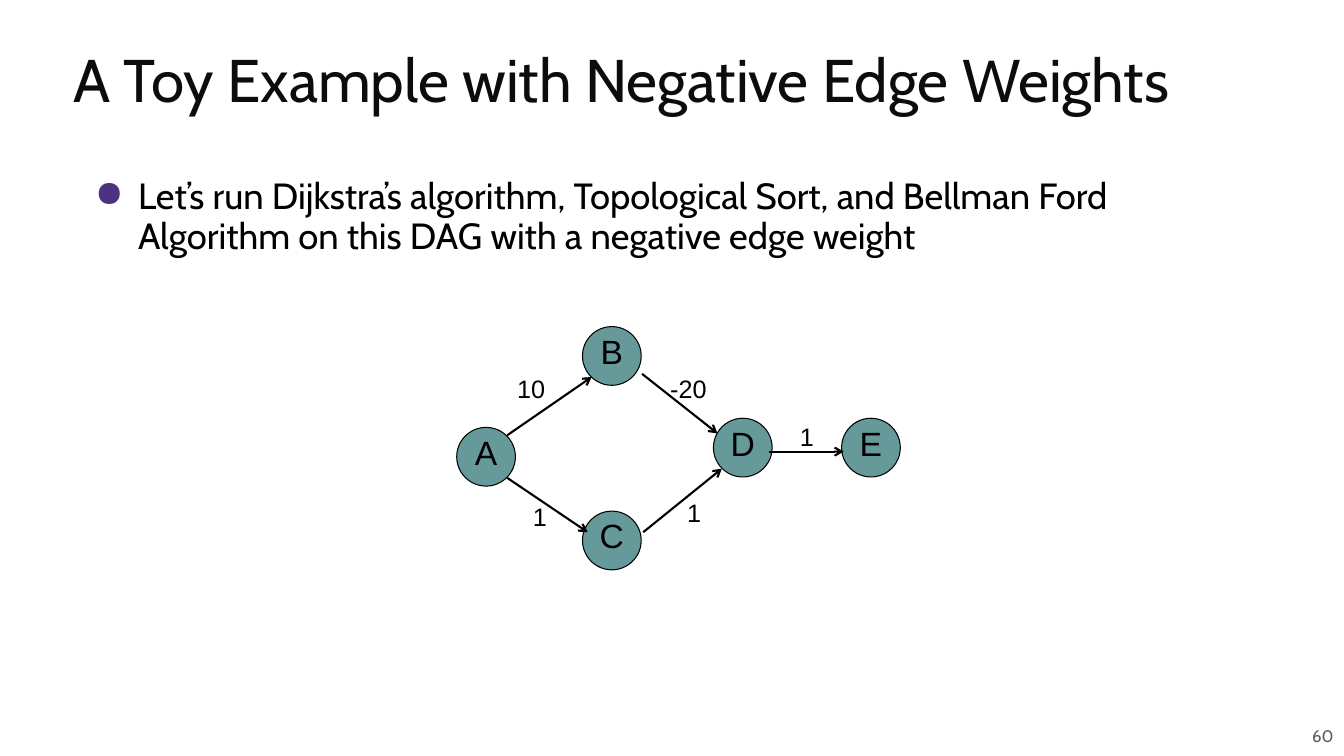
from lxml import etree
from pptx import Presentation
from pptx import util as u
from pptx.dml.color import RGBColor
from pptx.enum import shapes, text
from pptx.oxml.ns import qn

COLORS = {"title": "0C0C0C", "ink": "000000", "bullet": "4C3282",
          "node": "669999", "number": "595959"}
TITLE = "A Toy Example with Negative Edge Weights"
BODY = ("Let’s run Dijkstra’s algorithm, Topological Sort, and Bellman Ford "
        "Algorithm on this DAG with a negative edge weight")
PAGE_NUMBER = "60"
NODE_SIZE = 1.48
NODES = {"A": (11.51, 10.77), "B": (14.68, 8.23), "C": (14.68, 12.88),
         "D": (17.98, 10.54), "E": (21.21, 10.54)}
EDGES = [
    ("10", (12.78, 9.27), 1.57, (12.78, 10.97), (14.91, 9.5)),
    ("1", (13.18, 12.5), 1.12, (12.78, 12.04), (14.81, 13.41)),
    ("-20", (16.64, 9.27), 2.29, (16.18, 9.42), (18.08, 10.92)),
    ("1", (17.07, 12.4), 1.12, (16.21, 13.41), (18.19, 11.81)),
    ("1", (19.91, 10.49), 1.12, (19.38, 11.38), (21.26, 11.38)),
]


def color(name):
    """Return the named colour."""
    return RGBColor.from_string(COLORS[name])


def write(shape, words, size, font, ink, insets, anchor=text.MSO_ANCHOR.TOP):
    """Put one styled paragraph into a shape and return it."""
    frame = shape.text_frame
    frame.word_wrap = True
    frame.vertical_anchor = anchor
    (frame.margin_left, frame.margin_top,
     frame.margin_right, frame.margin_bottom) = map(u.Cm, insets)
    paragraph = frame.paragraphs[0]
    paragraph.text = words
    paragraph.font.size = u.Pt(size)
    paragraph.font.name = font
    paragraph.font.color.rgb = color(ink)
    return paragraph


def add_text(slide, box, *style):
    """Add a text box and return its paragraph."""
    return write(slide.shapes.add_textbox(*map(u.Cm, box)), *style)


def add_bullet(paragraph):
    """Give the paragraph a hanging round bullet."""
    properties = paragraph._p.get_or_add_pPr()
    properties.set("marL", str(u.Cm(1.27)))
    properties.set("indent", str(u.Cm(-1.09)))
    bullet_color = etree.Element(qn("a:buClr"))
    etree.SubElement(bullet_color, qn("a:srgbClr"), val=COLORS["bullet"])
    bullet = etree.Element(qn("a:buChar"), char="●")
    position = len(properties.findall(qn("a:lnSpc")))
    properties.insert(position, bullet_color)
    properties.insert(position + 1, bullet)


def add_node(slide, name, corner):
    """Draw a labelled graph node."""
    node = slide.shapes.add_shape(shapes.MSO_SHAPE.OVAL, *map(
        u.Cm, (*corner, NODE_SIZE, NODE_SIZE)))
    node.shadow.inherit = False
    node.fill.solid()
    node.fill.fore_color.rgb = color("node")
    node.line.color.rgb = color("ink")
    node.line.width = u.Pt(0.75)
    paragraph = write(node, name, 24, "Arial", "ink", (0, 0, 0, 0.25),
                      text.MSO_ANCHOR.MIDDLE)
    paragraph.alignment = text.PP_ALIGN.CENTER


def add_edge(slide, weight, corner, width, start, end):
    """Draw a weighted arrow."""
    arrow = slide.shapes.add_connector(
        shapes.MSO_CONNECTOR.STRAIGHT, *map(u.Cm, start + end))
    arrow.line.color.rgb = color("ink")
    arrow.line.width = u.Pt(1.5)
    etree.SubElement(arrow.line._get_or_add_ln(), qn("a:tailEnd"), type="arrow")
    etree.SubElement(arrow._element.spPr, qn("a:effectLst"))
    add_text(slide, (*corner, width, 1.02), weight, 18, "Arial", "ink",
             (0.25, 0.13, 0.25, 0.13))


def main():
    """Build and save the slide."""
    presentation = Presentation()
    presentation.slide_width = u.Cm(33.87)
    presentation.slide_height = u.Cm(19.05)
    slide = presentation.slides.add_slide(presentation.slide_layouts[6])
    middle = text.MSO_ANCHOR.MIDDLE

    title = add_text(slide, (1.6, 0.74, 31.06, 2.82), TITLE, 43, "Cabin",
                     "title", (0.25, 0.13, 0.25, 0.13), middle)
    title.line_spacing = 0.8
    body = add_text(slide, (2.08, 4.37, 27.99, 2.67), BODY, 26, "Cabin",
                    "ink", (0.13, 0.13, 0.13, 0.13))
    body.line_spacing = 0.9
    add_bullet(body)
    number = add_text(slide, (21.97, 18.03, 11.89, 1.02), PAGE_NUMBER, 12,
                      "Cabin", "number", (0.25, 0.25, 0.25, 0.25), middle)
    number.alignment = text.PP_ALIGN.RIGHT

    for name, corner in NODES.items():
        add_node(slide, name, corner)
    for edge in EDGES:
        add_edge(slide, *edge)
    presentation.save("out.pptx")


if __name__ == "__main__":
    main()
